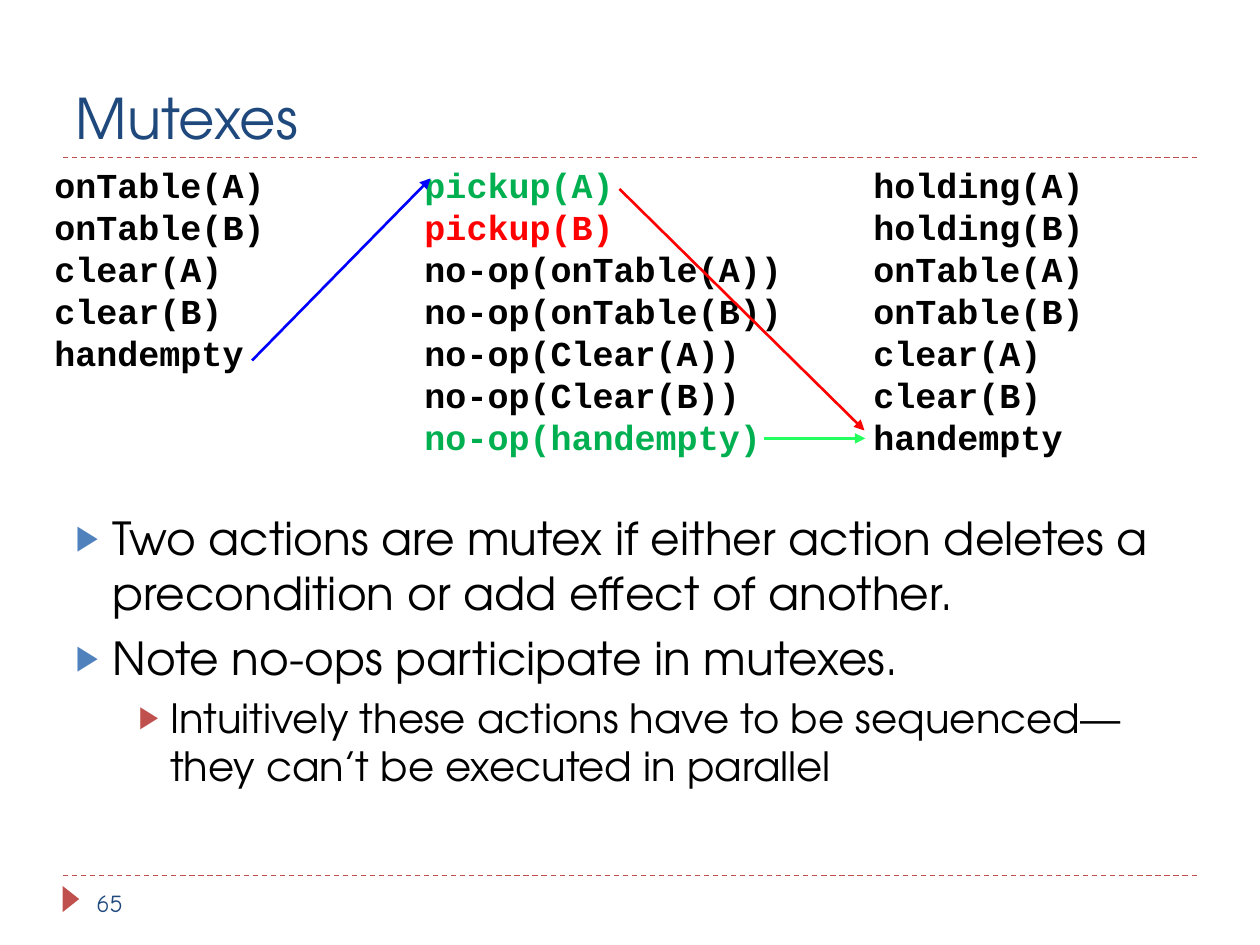
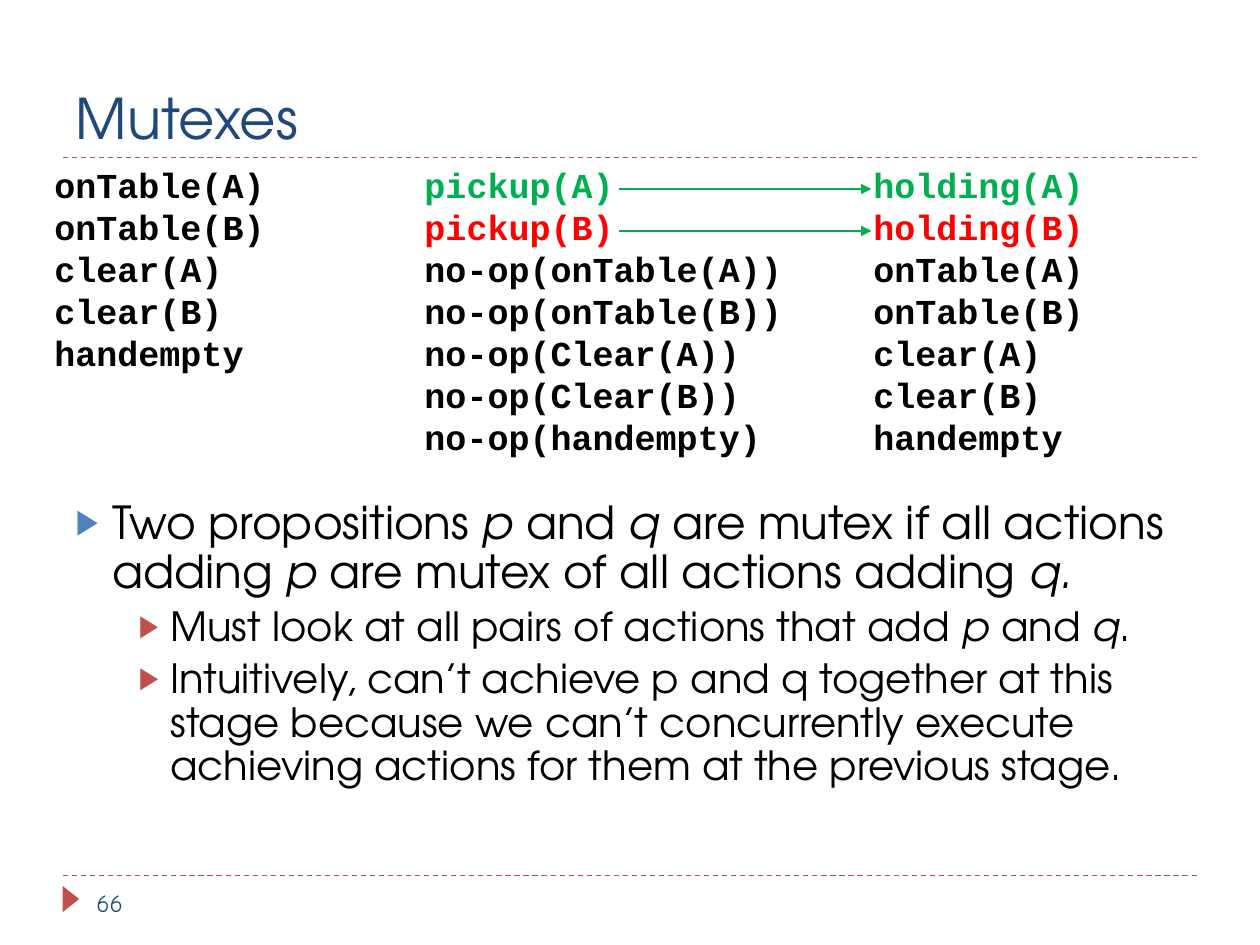
from lxml.etree import SubElement
from pptx import Presentation
from pptx.dml.color import RGBColor
from pptx.enum.dml import MSO_LINE
from pptx.enum.shapes import MSO_CONNECTOR, MSO_SHAPE
from pptx.enum.text import MSO_ANCHOR, MSO_AUTO_SIZE, PP_ALIGN
from pptx.oxml.ns import qn
from pptx.util import Pt

BLACK, NAVY, BLUE, BRICK = "000000", "1F497D", "4F81BD", "C0504D"
GREEN, RED, LIME, PURE = "00B050", "FF0000", "23FF5D", "0000FF"
SANS, MONO, COMIC = "TeX Gyre Adventor", "Courier New", "Comic Neue"

# Per list level: text size, space before, left margin, hanging indent, bullet colour
LEVELS = [(26, 6, 21, 21, BLUE), (23, 5, 54, 18, BRICK)]

TOP = 90
COLUMNS = [(24, 186), (235.5, 222), (492, 186)]
BEFORE = ["onTable(A)", "onTable(B)", "clear(A)", "clear(B)", "handempty"]
ACTIONS = ["pickup(A)", "pickup(B)", "no-op(onTable(A))", "no-op(onTable(B))",
           "no-op(Clear(A))", "no-op(Clear(B))", "no-op(handempty)"]
AFTER = ["holding(A)", "holding(B)"] + BEFORE


def color(value):
    return RGBColor.from_string(value)


def apply(target, **values):
    for name, value in values.items():
        setattr(target, name, value)


def place(shape, left, top, width, height):
    apply(shape, left=Pt(left), top=Pt(top), width=Pt(width), height=Pt(height))


def add_run(para, text, face, size, tint, **style):
    run = para.add_run()
    run.text = text
    apply(run.font, name=face, size=Pt(size), **style)
    run.font.color.rgb = color(tint)


def add_line(slide, start, end, tint, width=1.5, arrow=True):
    """Draw an arrow, or a dashed rule when arrow is False."""
    line = slide.shapes.add_connector(
        MSO_CONNECTOR.STRAIGHT, *[Pt(value) for value in start + end])
    line.line.width = Pt(width)
    line.line.color.rgb = color(tint)
    props = line._element.spPr
    if arrow:
        SubElement(props.find(qn("a:ln")), qn("a:tailEnd"), type="triangle")
    else:
        line.line.dash_style = MSO_LINE.DASH
    SubElement(props, qn("a:effectLst"))


def add_box(slide, area):
    box = slide.shapes.add_textbox(*[Pt(value) for value in area])
    box.text_frame.word_wrap = True
    return box.text_frame


def add_frame(slide, title, page):
    """Add the title, the two rules and the page mark."""
    for height in (500.4, TOP):
        add_line(slide, (36, height), (684, height), BRICK, 0.75, False)
    mark = slide.shapes.add_shape(
        MSO_SHAPE.ISOSCELES_TRIANGLE, Pt(33), Pt(509), Pt(15), Pt(9.5))
    mark.rotation = 90
    mark.shadow.inherit = False
    mark.fill.solid()
    mark.fill.fore_color.rgb = color(BRICK)
    mark.line.fill.background()
    head = slide.shapes.title
    place(head, 36, 12, 648, 78)
    apply(head.text_frame, vertical_anchor=MSO_ANCHOR.BOTTOM,
          auto_size=MSO_AUTO_SIZE.NONE)
    para = head.text_frame.paragraphs[0]
    para.alignment = PP_ALIGN.LEFT
    add_run(para, title, SANS, 32, NAVY)
    foot = add_box(slide, (48, 504, 156, 25))
    add_run(foot.paragraphs[0], str(page), COMIC, 14, NAVY)


def add_bullet(para, level):
    left, hang, tint = LEVELS[level][2:]
    props = para._p.get_or_add_pPr()
    props.set("marL", str(Pt(left)))
    props.set("indent", str(-Pt(hang)))
    SubElement(SubElement(props, qn("a:buClr")), qn("a:srgbClr"), val=tint)
    SubElement(props, qn("a:buSzPct"), val="76000")
    SubElement(props, qn("a:buChar"), char="▶")


def add_list(slide, top, items, spacing):
    """Fill the body with (level, text) items; *stars* mark italics."""
    body = slide.placeholders[1]
    place(body, 36, top, 648, 482.5 - top)
    frame = body.text_frame
    frame.auto_size = MSO_AUTO_SIZE.NONE
    for index, (level, text) in enumerate(items):
        para = frame.add_paragraph() if index else frame.paragraphs[0]
        size, gap = LEVELS[level][:2]
        add_bullet(para, level)
        apply(para, level=level, line_spacing=spacing,
              space_before=Pt(gap if index else 0))
        for part, piece in enumerate(text.split("*")):
            if piece:
                add_run(para, piece, SANS, size, BLACK, italic=part % 2 == 1)


def add_column(slide, span, names, tints):
    """List the names in one column; tints maps row numbers to colours."""
    left, width = span
    frame = add_box(slide, (left, TOP, width, 24 * len(names) + 7.5))
    for row, name in enumerate(names):
        para = frame.add_paragraph() if row else frame.paragraphs[0]
        add_run(para, name, MONO, 20, tints.get(row, BLACK), bold=True)


def add_mutex(deck, page, top, items, spacing, tints, arrows):
    slide = deck.slides.add_slide(deck.slide_layouts[1])
    add_frame(slide, "Mutexes", page)
    add_list(slide, top, items, spacing)
    for column in zip(COLUMNS, (BEFORE, ACTIONS, AFTER), tints):
        add_column(slide, *column)
    for start, end, tint in arrows:
        add_line(slide, start, end, tint)


def main():
    deck = Presentation()
    apply(deck, slide_width=Pt(720), slide_height=Pt(540))
    pair = {0: GREEN, 1: RED}
    add_mutex(
        deck, 65, 288,
        [(0, "Two actions are mutex if either action deletes a precondition "
             "or add effect of another."),
         (0, "Note no-ops participate in mutexes."),
         (1, "Intuitively these actions have to be sequenced—they can’t be "
             "executed in parallel")],
        1.0, ({}, {**pair, 6: GREEN}, {}),
        [((436.5, 250.5), (494.5, 250.5), LIME),
         ((354, 108), (494, 246), RED),
         ((144, 206), (246, 102), PURE)])
    add_mutex(
        deck, 66, 282,
        [(0, "Two propositions *p* and *q* are mutex if all actions adding "
             "*p* are mutex of all actions adding *q.*"),
         (1, "Must look at all pairs of actions that add *p *and *q*."),
         (1, "Intuitively, can’t achieve p and q together at this stage "
             "because we can’t concurrently execute achieving actions for "
             "them at the previous stage.")],
        0.9, ({}, pair, pair),
        [((354, y), (498, y), GREEN) for y in (108, 132)])
    deck.save("out.pptx")


if __name__ == "__main__":
    main()
